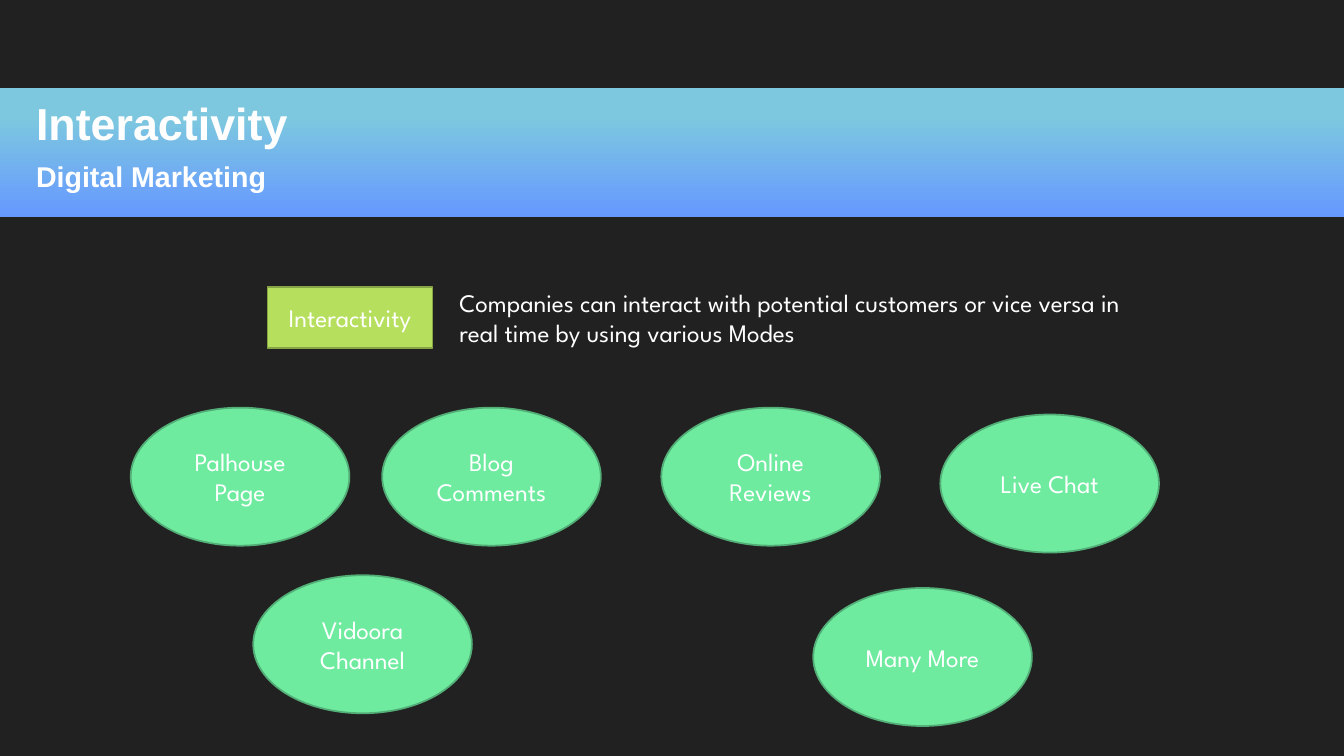
from lxml import etree
from pptx import Presentation
from pptx.dml.color import RGBColor
from pptx.enum import shapes, text
from pptx.oxml import ns
from pptx.util import Pt

COLORS = {
    "background": "212121",
    "band top": "7DC8DF",
    "band bottom": "6699FF",
    "title": "FEFEFE",
    "white": "FFFFFF",
    "lime": "B6DF5E",
    "lime edge": "87A546",
    "mint": "6FEBA0",
    "mint edge": "52AE76",
    "shadow": "000000",
}
HEADING = {"name": "Arial", "bold": True}
BODY = {"name": "League Spartan", "size": Pt(18)}
OVAL_WIDTH, OVAL_HEIGHT = 156.2, 98.6


def color(name):
    return RGBColor.from_string(COLORS[name])


def write(box, lines, ink, font, anchor, align):
    """Fill a box with one paragraph per line and return the spans."""
    frame = box.text_frame
    frame.word_wrap = True
    frame.vertical_anchor = anchor
    spans = []
    for index, line in enumerate(lines):
        para = frame.add_paragraph() if index else frame.paragraphs[0]
        para.alignment = align
        span = para.add_run()
        span.text = line
        span.font.color.rgb = color(ink)
        for key, value in font.items():
            setattr(span.font, key, value)
        spans.append(span)
    return spans


deck = Presentation()
deck.slide_width, deck.slide_height = Pt(960), Pt(540)
page = deck.slides.add_slide(deck.slide_layouts[6])
page.background.fill.solid()
page.background.fill.fore_color.rgb = color("background")

# Heading band
band = page.shapes.add_shape(shapes.MSO_SHAPE.RECTANGLE, 0, Pt(63), deck.slide_width, Pt(92))
band.shadow.inherit = False
band.line.fill.background()
band.fill.gradient()
band.fill.gradient_angle = 270
stops = zip(band.fill.gradient_stops, (0.21, 1), ("band top", "band bottom"))
for stop, position, name in stops:
    stop.position = position
    stop.color.rgb = color(name)

# Headings with a soft text shadow
headings = [
    ("Interactivity", 65.5, 482, 44.6, 32, "title"),
    ("Digital Marketing", 113.8, 681, 28, 20.4, "white"),
]
for words, top, width, height, size, ink in headings:
    box = page.shapes.add_textbox(Pt(18.7), Pt(top), Pt(width), Pt(height))
    font = {**HEADING, "size": Pt(size)}
    for span in write(box, [words], ink, font, text.MSO_ANCHOR.BOTTOM, text.PP_ALIGN.LEFT):
        effects = etree.Element(ns.qn("a:effectLst"))
        shadow = etree.SubElement(effects, ns.qn("a:outerShdw"), blurRad="38100",
                                  dist="38100", dir="2700000", algn="tl")
        shade = etree.SubElement(shadow, ns.qn("a:srgbClr"), val=COLORS["shadow"])
        etree.SubElement(shade, ns.qn("a:alpha"), val="43000")
        span.font.fill  # the effect list follows the fill
        fill = span.font._element.find(ns.qn("a:solidFill"))
        fill.addnext(effects)

# Definition
definition = page.shapes.add_textbox(Pt(321.1), Pt(201.6), Pt(497.5), Pt(51))
write(definition,
      ["Companies can interact with potential customers or vice versa in real time "
       "by using various Modes"],
      "white", BODY, text.MSO_ANCHOR.TOP, text.PP_ALIGN.LEFT)

# Term and its modes
RECTANGLE, OVAL = shapes.MSO_SHAPE.RECTANGLE, shapes.MSO_SHAPE.OVAL
modes = [
    (["Palhouse Page"], 93.4, 291.2),
    (["Blog", "Comments"], 273, 291.2),
    (["Online Reviews"], 472.4, 291.2),
    (["Live Chat"], 671.7, 296.1),
    (["Vidoora Channel"], 180.9, 410.9),
    (["Many More"], 580.9, 420),
]
labels = [(RECTANGLE, ["Interactivity"], 191, 205, 118, 43.8, "lime")]
labels += [(OVAL, lines, left, top, OVAL_WIDTH, OVAL_HEIGHT, "mint")
           for lines, left, top in modes]
for kind, lines, left, top, width, height, tint in labels:
    label = page.shapes.add_shape(kind, Pt(left), Pt(top), Pt(width), Pt(height))
    label.shadow.inherit = False
    label.fill.solid()
    label.fill.fore_color.rgb = color(tint)
    label.line.color.rgb = color(tint + " edge")
    label.line.width = Pt(1.25)
    write(label, lines, "white", BODY, text.MSO_ANCHOR.MIDDLE, text.PP_ALIGN.CENTER)

deck.save("out.pptx")
